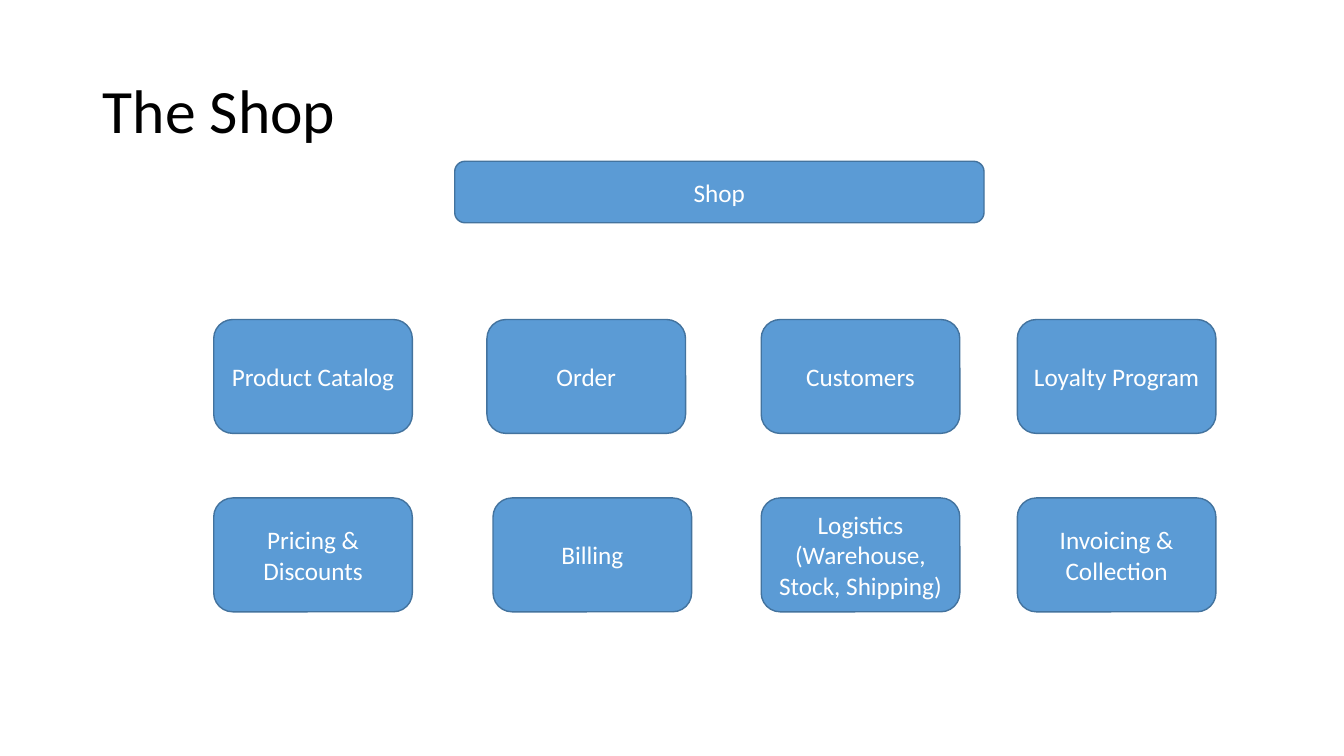
from pptx import Presentation
from pptx.dml.color import RGBColor
from pptx.enum.shapes import MSO_SHAPE
from pptx.enum.text import MSO_ANCHOR, PP_ALIGN
from pptx.util import Inches, Pt

BLUE = RGBColor(0x5B, 0x9B, 0xD5)
DARK_BLUE = RGBColor(0x43, 0x73, 0x9E)
WHITE = RGBColor(0xFF, 0xFF, 0xFF)
BLACK = RGBColor(0, 0, 0)

TITLE = "The Shop"
TITLE_FRAME = (0.92, 0.4, 11.5, 1.45)
SHOP = ("Shop", (4.51, 1.6, 5.25, 0.61))
MODULE_SIZE = (1.97, 1.13)
MODULE_ROWS = [
    (3.17, [(2.12, "Product Catalog"), (4.83, "Order"),
            (7.55, "Customers"), (10.09, "Loyalty Program")]),
    (4.94, [(2.12, "Pricing & Discounts"), (4.89, "Billing"),
            (7.55, "Logistics (Warehouse, Stock, Shipping)"),
            (10.09, "Invoicing & Collection")]),
]
TITLE_FONT = {"name": "Calibri", "size": Pt(44), "bold": False}
BOX_FONT = {"name": "Calibri", "size": Pt(18)}


def write_text(shape, text, font_format, color, alignment, line_spacing):
    frame = shape.text_frame
    frame.text = text
    frame.word_wrap = True
    frame.vertical_anchor = MSO_ANCHOR.MIDDLE
    paragraph = frame.paragraphs[0]
    paragraph.alignment = alignment
    paragraph.line_spacing = line_spacing
    font = paragraph.runs[0].font
    for attribute, value in font_format.items():
        setattr(font, attribute, value)
    font.color.rgb = color


def add_box(slide, text, frame):
    shape = slide.shapes.add_shape(MSO_SHAPE.ROUNDED_RECTANGLE, *map(Inches, frame))
    shape.shadow.inherit = False
    shape.fill.solid()
    shape.fill.fore_color.rgb = BLUE
    shape.line.color.rgb = DARK_BLUE
    shape.line.width = Pt(1)
    write_text(shape, text, BOX_FONT, WHITE, PP_ALIGN.CENTER, 1.0)


def main():
    presentation = Presentation()
    presentation.slide_width = Inches(13.33)
    presentation.slide_height = Inches(7.5)
    slide = presentation.slides.add_slide(presentation.slide_layouts[5])

    title = slide.shapes.title
    title.left, title.top, title.width, title.height = map(Inches, TITLE_FRAME)
    write_text(title, TITLE, TITLE_FONT, BLACK, PP_ALIGN.LEFT, 0.9)

    add_box(slide, *SHOP)
    for top, modules in MODULE_ROWS:
        for left, text in modules:
            add_box(slide, text, (left, top, *MODULE_SIZE))

    presentation.save("out.pptx")


if __name__ == "__main__":
    main()
